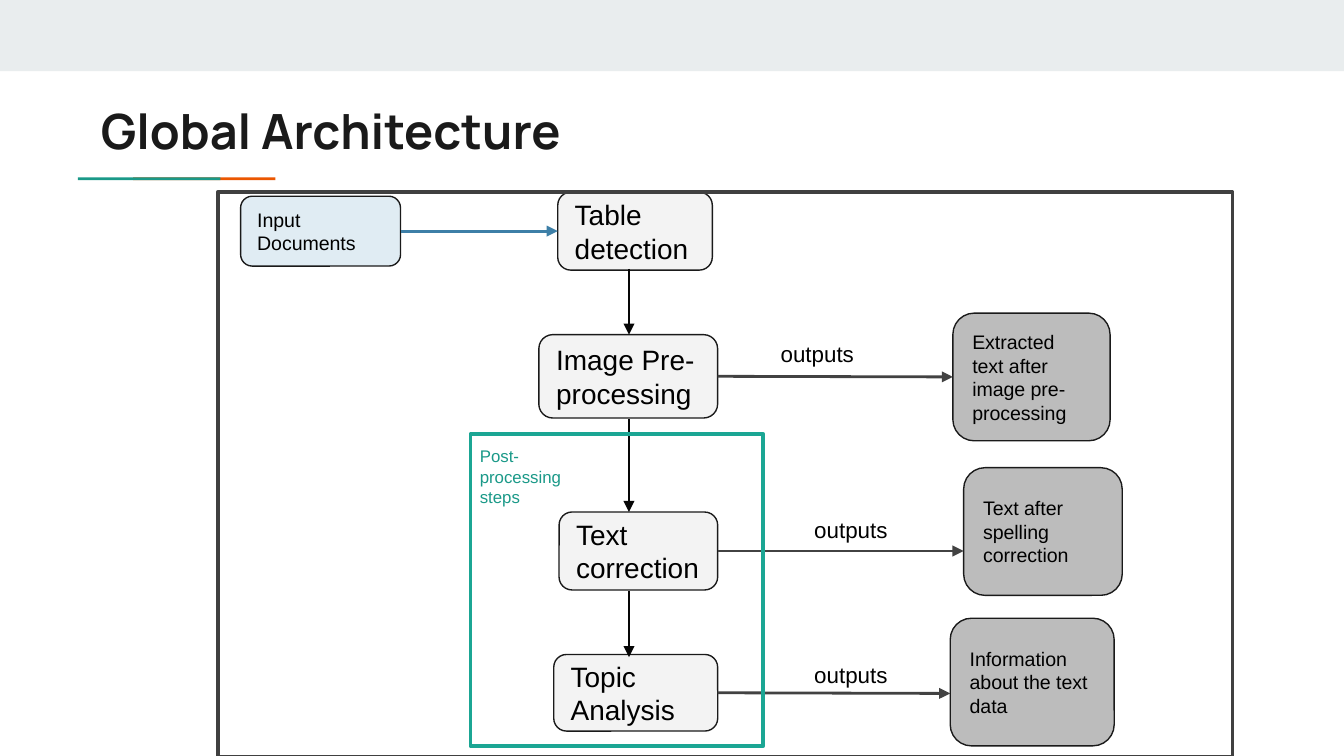
from pptx import Presentation
from pptx.dml.color import RGBColor
from pptx.enum.shapes import MSO_CONNECTOR, MSO_SHAPE
from pptx.enum.text import MSO_ANCHOR, PP_ALIGN
from pptx.oxml.ns import qn
from pptx.util import Inches, Pt
from lxml import etree

RECT, ROUNDED = MSO_SHAPE.RECTANGLE, MSO_SHAPE.ROUNDED_RECTANGLE
STRAIGHT = MSO_CONNECTOR.STRAIGHT
TOP, MIDDLE, LEFT = MSO_ANCHOR.TOP, MSO_ANCHOR.MIDDLE, PP_ALIGN.LEFT
LEFT_SIDE, RIGHT_SIDE = 1, 3
SLIDE_WIDTH = 10
SLIDE_HEIGHT = SLIDE_WIDTH * 9 / 16

COLORS = {
    "band": "E9EDEE", "orange": "EB5600", "teal": "1A9988", "ink": "1A1A1A",
    "black": "000000", "step": "F3F3F3", "input": "E0ECF3", "output": "BCBCBC",
    "flow": "060606", "feed": "3D7FA7", "result": "424242",
    "group": "1BA694", "frame": "404040",
}


def rgb(name):
    """Return the named palette colour."""
    return RGBColor.from_string(COLORS[name])


def within(box, left, top, width, height):
    """Turn a rectangle relative to a box into a slide rectangle."""
    return box[0] + left, box[1] + top, width, height


def write(shape, text, size=10.5, color="black", font="Arial", bold=False,
          anchor=MIDDLE, insets=(0.1, 0.1)):
    """Fill a shape with one formatted, left-aligned paragraph."""
    frame = shape.text_frame
    frame.word_wrap = True
    frame.vertical_anchor = anchor
    frame.margin_left = frame.margin_right = Inches(insets[0])
    frame.margin_top = frame.margin_bottom = Inches(insets[1])
    paragraph = frame.paragraphs[0]
    paragraph.alignment = LEFT
    run = paragraph.add_run()
    run.text = text
    run.font.size, run.font.name, run.font.bold = Pt(size), font, bold
    run.font.color.rgb = rgb(color)


def add_panel(slide, box, kind=RECT, fill=None, line=None, weight=0.75):
    """Add a flat preset shape."""
    panel = slide.shapes.add_shape(kind, *map(Inches, box))
    panel.shadow.inherit = False
    if fill:
        panel.fill.solid()
        panel.fill.fore_color.rgb = rgb(fill)
    else:
        panel.fill.background()
    if line:
        panel.line.color.rgb = rgb(line)
        panel.line.width = Pt(weight)
    else:
        panel.line.fill.background()
    return panel


def add_node(slide, box, text, fill, size=10.5):
    """Add a rounded node of the diagram."""
    node = add_panel(slide, box, ROUNDED, fill, "ink")
    write(node, text, size=size)
    return node


def add_label(slide, box, text, **text_format):
    """Add a free-standing label."""
    label = slide.shapes.add_textbox(*map(Inches, box))
    write(label, text, **text_format)


def add_arrow(slide, start, end, color, source=None, target=None):
    """Add an arrow, joined to its source and target sides if given."""
    arrow = slide.shapes.add_connector(STRAIGHT, *map(Inches, (*start, *end)))
    if source is not None:
        arrow.begin_connect(source, RIGHT_SIDE)
    if target is not None:
        arrow.end_connect(target, LEFT_SIDE)
    arrow.line.color.rgb = rgb(color)
    arrow.line.width = Pt(1.5)
    properties = arrow._element.spPr
    etree.SubElement(properties.find(qn("a:ln")), qn("a:tailEnd"), type="triangle")
    etree.SubElement(properties, qn("a:effectLst"))


def draw_header(slide, box):
    """Draw the top band, the title and its two-colour underline."""
    add_panel(slide, within(box, 0, 0, box[2], 0.53), fill="band")
    for left, color in ((0.99, "orange"), (0.58, "teal")):
        add_panel(slide, within(box, left, 1.32, 1.06, 0.02), fill=color)
    title = slide.shapes.title
    title.left, title.top, title.width, title.height = map(
        Inches, within(box, 0.65, 0.65, 8.41, 0.59))
    write(title, "Global Architecture", size=26, color="ink", font="Manrope",
          bold=True, anchor=TOP)


def draw_steps(slide, box):
    """Draw the input and the column of steps, and return the steps."""
    layout = (
        ("Table detection", 2.53, 0, 1.15, 0.58),
        ("Image Pre-processing", 2.39, 1.06, 1.33, 0.62),
        ("Text correction", 2.54, 2.38, 1.18, 0.58),
        ("Topic Analysis", 2.5, 3.44, 1.22, 0.57),
    )
    steps = [add_node(slide, within(box, *place), text, "step", 15)
             for text, *place in layout]
    flow_x = box[0] + 3.06
    for start, end in ((0.57, 1.06), (1.69, 2.38), (2.97, 3.46)):
        add_arrow(slide, (flow_x, box[1] + start), (flow_x, box[1] + end), "flow")
    documents = add_node(slide, within(box, 0.17, 0.03, 1.19, 0.52),
                         "Input Documents", "input")
    add_arrow(slide, (0, 0), (0, 0), "feed", documents, steps[0])
    return steps


def draw_outputs(slide, box, steps):
    """Draw the result of each step with its labelled arrow."""
    layout = (
        ("Extracted text after image pre-processing", 5.47, 0.9, 1.17, 4.09, 1.05, 1.37),
        ("Text after spelling correction", 5.55, 2.05, 1.18, 4.34, 2.36, 2.67),
        ("Information about the text data", 5.45, 3.17, 1.22, 4.34, 3.44, 3.73),
    )
    for step, (text, left, top, width, label_left, label_top, arrow_y) in zip(steps, layout):
        result = add_node(slide, within(box, left, top, width, 0.95), text, "output")
        centred = abs(top + 0.95 / 2 - arrow_y) < 0.03
        end = box[0] + left, box[1] + arrow_y
        add_arrow(slide, end, end, "result", step, result if centred else None)
        add_label(slide, within(box, label_left, label_top, 0.82, 0.3), "outputs",
                  size=12, anchor=TOP, insets=(0.1, 0.05))


def draw_post_processing(slide, box):
    """Outline and label the post-processing group."""
    add_panel(slide, box, line="group", weight=2)
    add_label(slide, within(box, 0, 0.1, 0.99, 0.43), "Post-processing steps",
              size=9, color="teal", insets=(0.07, 0.04))


def draw_architecture(slide, box):
    """Draw the whole diagram inside its frame."""
    steps = draw_steps(slide, box)
    draw_outputs(slide, box, steps[1:])
    draw_post_processing(slide, within(box, 1.88, 1.8, 2.18, 2.32))
    add_panel(slide, box, line="frame", weight=2)


def main():
    """Build and save the slide."""
    deck = Presentation()
    deck.slide_width, deck.slide_height = Inches(SLIDE_WIDTH), Inches(SLIDE_HEIGHT)
    slide = deck.slides.add_slide(deck.slide_layouts[5])
    draw_header(slide, (0, 0, SLIDE_WIDTH, SLIDE_HEIGHT))
    draw_architecture(slide, (1.62, 1.43, 7.55, 4.2))
    deck.save("out.pptx")


if __name__ == "__main__":
    main()
